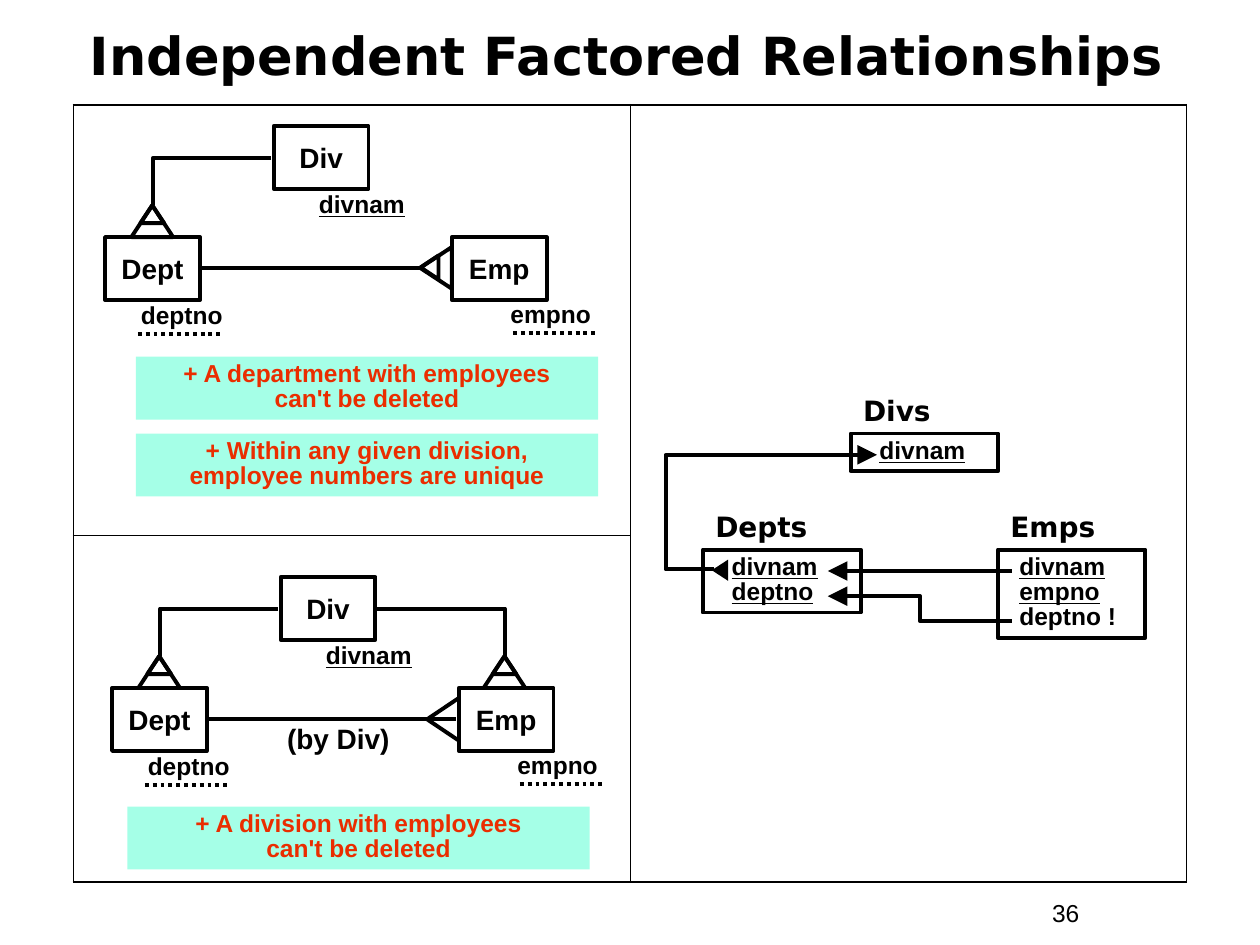
from lxml.etree import SubElement
from pptx import Presentation
from pptx.dml.color import RGBColor
from pptx.enum.dml import MSO_LINE
from pptx.enum.shapes import MSO_CONNECTOR as CONN, MSO_SHAPE as SHAPE
from pptx.enum.text import MSO_ANCHOR as ANCHOR, PP_ALIGN as ALIGN
from pptx.oxml.ns import qn
from pptx.util import Cm, Pt

COLORS = {"ink": "000000", "banner": "A5FFE7", "rule": "EA2D00"}
SANS, HEAD = "Arial", "DejaVu Sans"
LINE_W = 2.25


def rgb(name):
    return RGBColor.from_string(COLORS[name])


def write(p, text, size, font=SANS, color="ink", bold=True, underline=None,
          align=None, spacing=None):
    p.alignment = align
    p.line_spacing = spacing
    for i, line in enumerate(text.split("\n")):
        if i:
            p.add_line_break()
        r = p.add_run()
        r.text = line
        f = r.font
        f.name, f.size, f.bold, f.underline = font, Pt(size), bold, underline
        f.color.rgb = rgb(color)


def add_text(s, x, y, w, h, text, size, **style):
    tf = s.shapes.add_textbox(Cm(x), Cm(y), Cm(w), Cm(h)).text_frame
    tf.word_wrap = True
    write(tf.paragraphs[0], text, size, **style)


def add_shape(shapes, kind, x, y, w, h, fill=None, outline=True):
    sp = shapes.add_shape(kind, Cm(x), Cm(y), Cm(w), Cm(h))
    sp.shadow.inherit = False
    if fill:
        sp.fill.solid()
        sp.fill.fore_color.rgb = rgb(fill)
    else:
        sp.fill.background()
    if outline:
        sp.line.color.rgb = rgb("ink")
        sp.line.width = Pt(LINE_W)
    else:
        sp.line.fill.background()
    return sp


def add_line(s, x1, y1, x2, y2, bend=None, adj=None, dotted=False, arrow=False):
    """Straight line, or an elbow with the given number of segments."""
    kind = CONN.ELBOW if bend else CONN.STRAIGHT
    cx = s.shapes.add_connector(kind, Cm(x1), Cm(y1), Cm(x2), Cm(y2))
    cx.line.color.rgb = rgb("ink")
    cx.line.width = Pt(LINE_W)
    if dotted:
        cx.line.dash_style = MSO_LINE.ROUND_DOT
    sp_pr = cx._element.spPr
    if bend:
        geom = sp_pr.find(qn("a:prstGeom"))
        geom.set("prst", f"bentConnector{bend + 0}")
        if adj is not None:
            guides = geom.find(qn("a:avLst"))
            SubElement(guides, qn("a:gd"), name="adj1", fmla=f"val {adj}")
    if arrow:
        SubElement(cx.line._get_or_add_ln(), qn("a:tailEnd"),
                   type="triangle", w="lg", len="lg")
    SubElement(sp_pr, qn("a:effectLst"))


def add_title(s, x, y, w, h):
    title = s.shapes.title
    title.left, title.top, title.width, title.height = Cm(x), Cm(y), Cm(w), Cm(h)
    tf = title.text_frame
    tf.vertical_anchor = ANCHOR.MIDDLE
    write(tf.paragraphs[0], "Independent Factored Relationships", 30, HEAD,
          align=ALIGN.CENTER, spacing=0.85)


def add_frame(s, x, y, w, heights):
    """Two panes on the left, one tall pane on the right."""
    tbl = s.shapes.add_table(2, 2, Cm(x), Cm(y), Cm(w), Cm(sum(heights))).table
    tbl.first_row = tbl.horz_banding = False
    for row, height in zip(tbl.rows, heights):
        row.height = Cm(height)
    tbl.cell(0, 1).merge(tbl.cell(1, 1))
    for r in range(2):
        for c in range(2):
            cell = tbl.cell(r, c)
            tall = c == 1
            outer = {"L": c == 0, "R": c == 1,
                     "T": r == 0 or tall, "B": r == 1 or tall}
            tc_pr = cell._tc.get_or_add_tcPr()
            for side, is_outer in outer.items():
                ln = SubElement(tc_pr, qn(f"a:ln{side}"),
                                w=str(Pt(1.08 if is_outer else 0.45)))
                fill = SubElement(ln, qn("a:solidFill"))
                SubElement(fill, qn("a:srgbClr"), val=COLORS["ink"])
            cell.fill.background()


def add_crow_foot(s, x, y, dx=0.18, dy=0, rotation=0):
    """Triangle with a smaller one sharing its tip."""
    group = s.shapes.add_group_shape()
    for left, top, w, h in ((x, y, 0.84, 0.64), (x + dx, y + dy, 0.48, 0.36)):
        add_shape(group.shapes, SHAPE.ISOSCELES_TRIANGLE,
                  left, top, w, h).rotation = rotation


def add_banner(s, x, y, text):
    sp = add_shape(s.shapes, SHAPE.RECTANGLE, x, y, 9.32, 1.27, "banner", False)
    tf = sp.text_frame
    tf.word_wrap = True
    tf.vertical_anchor = ANCHOR.TOP
    write(tf.paragraphs[0], text, 14, color="rule", align=ALIGN.CENTER, spacing=0.85)


def add_er_diagram(s, x, y, by_div=False):
    # Entities
    for name, dx, dy in (("Div", 3.4, 0), ("Dept", 0, 2.24), ("Emp", 6.99, 2.24)):
        sp = add_shape(s.shapes, SHAPE.RECTANGLE, x + dx, y + dy, 1.91, 1.27)
        tf = sp.text_frame
        tf.word_wrap = False
        tf.vertical_anchor = ANCHOR.MIDDLE
        write(tf.paragraphs[0], name, 16, align=ALIGN.CENTER)
    # Identifiers, partial ones with a dotted underline
    add_text(s, x + 4.06, y + 1.22, 2.34, 0.79, "divnam", 14,
             underline=True, spacing=0.9)
    for name, dx, dy, w, dots in (("deptno", 0.47, 3.45, 2.97, 0.66),
                                  ("empno", 7.92, 3.43, 2.34, 8.22)):
        add_text(s, x + dx, y + dy, w, 0.79, name, 14, spacing=0.9)
        add_line(s, x + dots, y + dy + 0.74, x + dots + 1.69, y + dy + 0.74,
                 dotted=True)
    # Div to Dept
    add_line(s, x + 3.35, y + 0.64, x + 0.97, y + 1.6, bend=2)
    add_crow_foot(s, x + 0.53, y + 1.6)
    # Dept to Emp
    mid = y + 2.87
    add_line(s, x + 1.96, mid, x + (6.93 if by_div else 6.38), mid)
    if by_div:
        for dy in (-0.43, 0.43):
            add_line(s, x + 6.35, mid, x + 6.99, mid + dy)
        add_text(s, x + 2.87, mid, 3.38, 0.86, "(by Div)", 16,
                 align=ALIGN.CENTER, spacing=0.9)
        # Div to Emp
        add_line(s, x + 5.31, y + 0.64, x + 7.92, y + 1.6, bend=2)
        add_crow_foot(s, x + 7.49, y + 1.6)
    else:
        add_crow_foot(s, x + 6.25, y + 2.54, dx=0.05, dy=0.13, rotation=270)


def add_relation(s, x, y, w, h, name, indent, keys, others=()):
    add_text(s, x, y - 0.94, 2.75, 0.94, name, 16, font=HEAD)
    tf = add_shape(s.shapes, SHAPE.RECTANGLE, x, y, w, h).text_frame
    tf.word_wrap = True
    tf.vertical_anchor = ANCHOR.TOP
    for i, column in enumerate((*keys, *others)):
        p = tf.add_paragraph() if i else tf.paragraphs[0]
        p._p.get_or_add_pPr().set("marL", str(Cm(indent)))
        write(p, column, 14, underline=column in keys, align=ALIGN.LEFT, spacing=0.85)


def add_schema(s, x, y):
    add_relation(s, x + 4.45, y + 6.63, 2.97, 0.76, "Divs", 0.33, ["divnam"])
    add_relation(s, x + 1.47, y + 8.97, 3.18, 1.27, "Depts", 0.33,
                 ["divnam", "deptno"])
    add_relation(s, x + 7.42, y + 8.97, 2.97, 1.78, "Emps", 0.18,
                 ["divnam", "empno"], ["deptno !"])
    # Foreign keys
    add_line(s, x + 1.7, y + 9.37, x + 4.98, y + 7.06, bend=3, adj=-29900, arrow=True)
    add_shape(s.shapes, SHAPE.ISOSCELES_TRIANGLE, x + 1.6, y + 9.22, 0.43, 0.33,
              "ink", False).rotation = 270
    add_line(s, x + 7.7, y + 9.4, x + 3.99, y + 9.4, arrow=True)
    add_line(s, x + 7.7, y + 10.41, x + 3.99, y + 9.91, bend=3, arrow=True)


def main():
    prs = Presentation()
    prs.slide_width, prs.slide_height = Cm(25.4), Cm(19.05)
    s = prs.slides.add_slide(prs.slide_layouts[5])

    add_frame(s, 1.48, 2.11, 22.44, (8.69, 6.98))
    add_title(s, 1.37, 0.2, 22.53, 1.98)

    # Upper left pane
    x, y = 2.12, 2.54
    add_er_diagram(s, x, y)
    add_banner(s, x + 0.62, y + 4.65, "+ A department with employees\ncan't be deleted")
    add_banner(s, x + 0.62, y + 6.2,
               "+ Within any given division, employee numbers are unique")

    # Lower left pane
    x, y = 2.26, 11.63
    add_er_diagram(s, x, y, by_div=True)
    add_banner(s, x + 0.31, y + 4.63, "+ A division with employees\ncan't be deleted")

    # Right pane
    add_schema(s, 12.7, 2.11)

    # Page number
    add_text(s, 20.96, 17.98, 2.34, 0.86, "36", 14, bold=False)
    prs.save("out.pptx")


if __name__ == "__main__":
    main()
